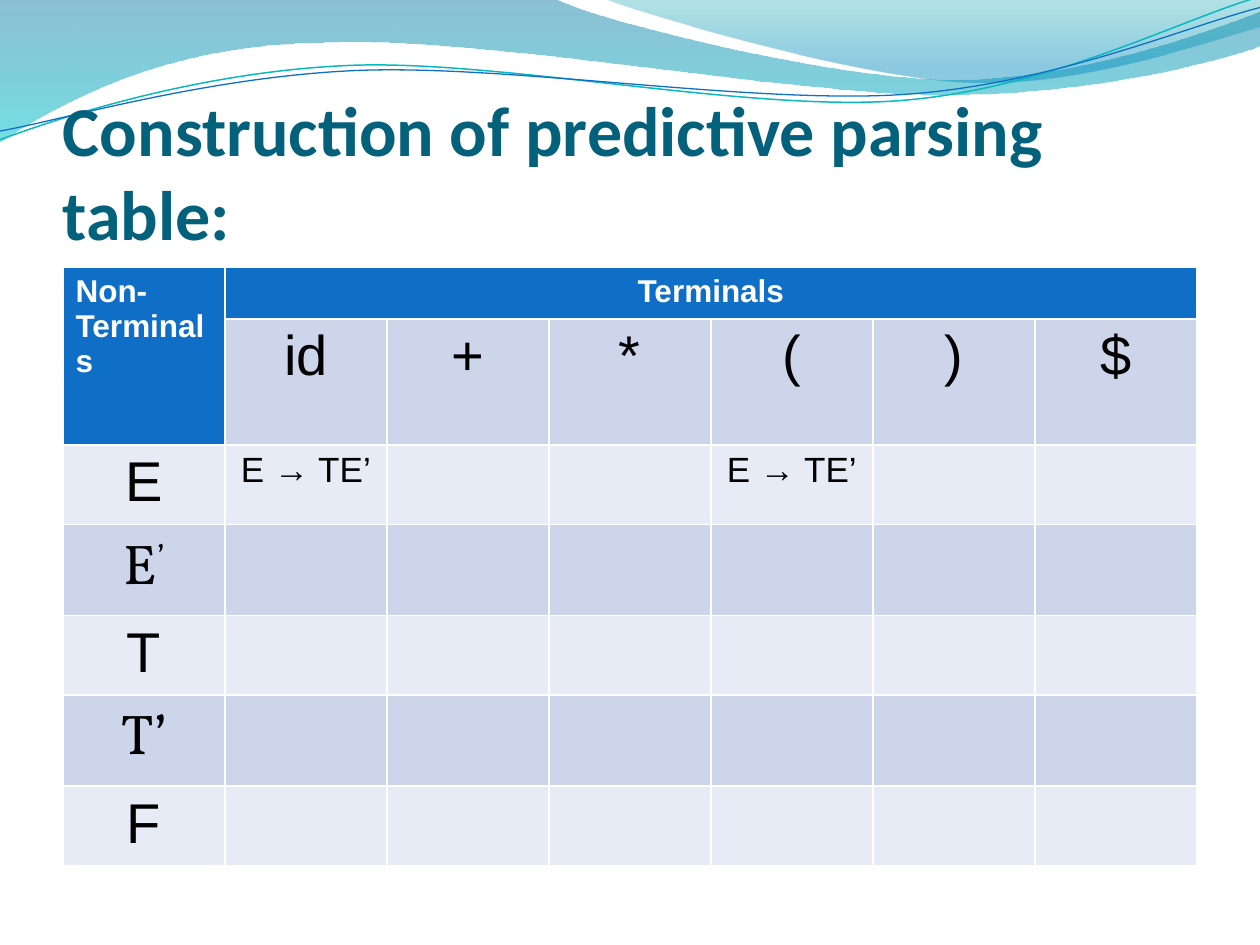
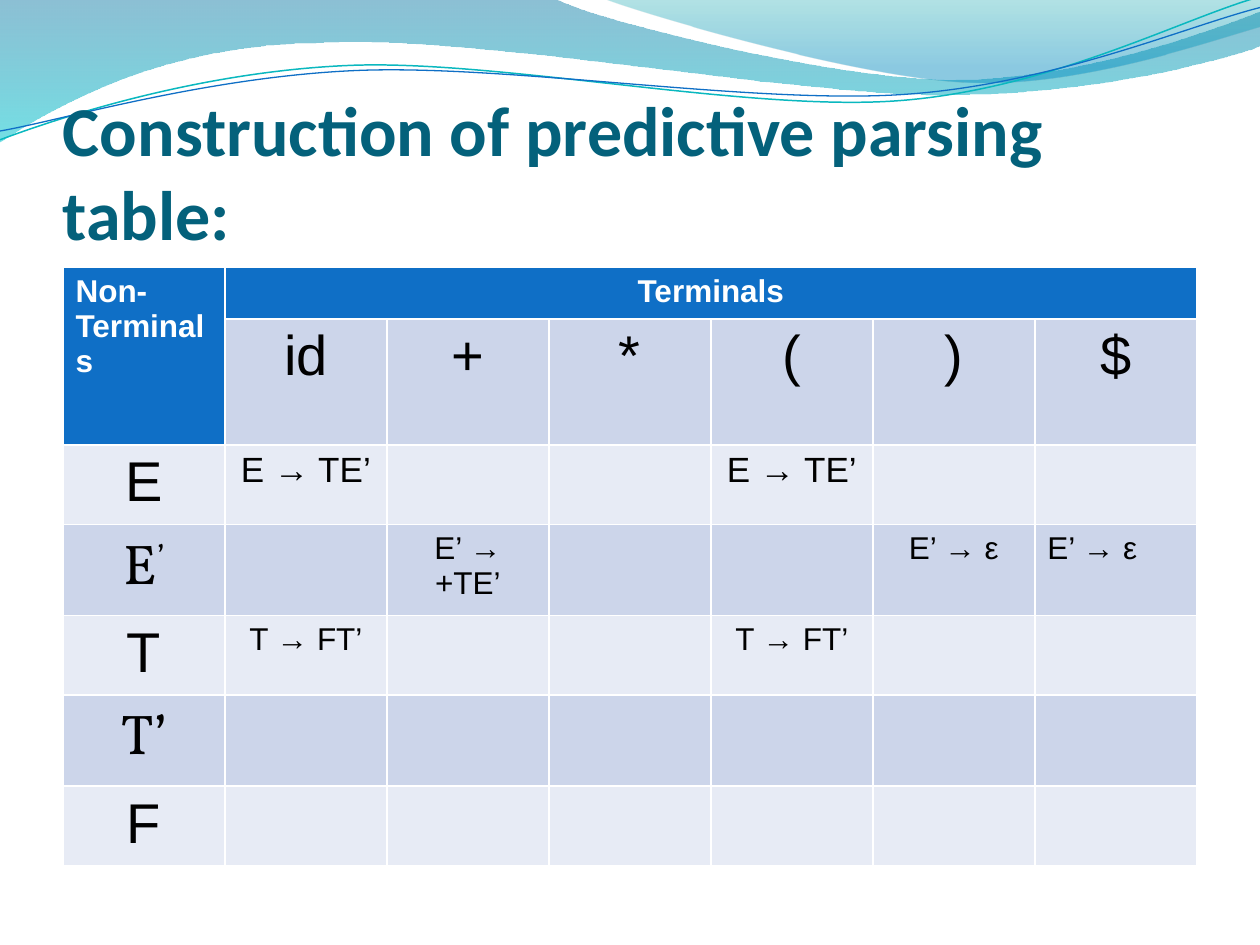
from lxml.etree import SubElement
from pptx import Presentation
from pptx.dml.color import RGBColor
from pptx.enum.text import MSO_ANCHOR, PP_ALIGN
from pptx.oxml.ns import qn
from pptx.util import Inches, Pt

# Shared look
WIDTH, HEIGHT = Inches(10), Inches(7.5)
MARGIN = WIDTH // 20
CONTENT_WIDTH = WIDTH - 2 * MARGIN
WHITE, BLACK, TITLE_COLOUR = "FFFFFF", "000000", "04617B"
HEADER_FILL, BAND_DARK, BAND_LIGHT = "0F6FC6", "CCD5EA", "E7EBF5"
BODY_FONT, TITLE_FONT, PRIME_FONT = "Arial", "Calibri", "Vollkorn"

# Banner curves in inches: a start, then points (lines) or triples of points (Bézier curves)
LEFT_WAVE = [
    (0, -0.01), (4.4, -0.01),
    ((4.76, 0.17), (6.64, 0.63), (7.58, 0.63)),
    ((8.53, 0.63), (9.58, 0.26), (10, 0.09)),
    (10.01, 0.36),
    ((9.83, 0.44), (8.7, 0.76), (7.46, 0.75)),
    ((6.22, 0.75), (3.82, 0.28), (2.57, 0.34)),
    ((1.29, 0.35), (0.46, 0.83), (-0.01, 1.13)),
    (0, -0.01),
]
RIGHT_WAVE = [
    (4.79, -0.01),
    ((5.09, 0.11), (6.82, 0.62), (7.69, 0.65)),
    ((8.56, 0.69), (9.61, 0.32), (10, 0.21)),
    (10, 0), (4.79, -0.01),
]
TEAL_LINE = [
    (0, 1.11),
    ((0.48, 0.93), (1.58, 0.57), (2.77, 0.52)),
    ((3.95, 0.47), (5.93, 0.89), (7.13, 0.8)),
    ((8.33, 0.71), (9.38, 0.15), (9.98, -0.02)),
]
BLUE_LINE = [
    (0, 1.04),
    ((0.47, 0.96), (1.64, 0.61), (2.83, 0.56)),
    ((4.03, 0.51), (5.97, 0.83), (7.17, 0.75)),
    ((8.36, 0.67), (9.41, 0.21), (10, 0.06)),
]

# Parsing table: entries are (text, size, alignment) by non-terminal and terminal
TITLE = "Construction of predictive parsing table:"
TERMINALS = ["id", "+", "*", "(", ")", "$"]
NON_TERMINALS = ["E", "E’", "T", "T’", "F"]
ROW_HEIGHT, PRIME_ROW_HEIGHT = Inches(0.41), Inches(0.72)
CENTER, LEFT = PP_ALIGN.CENTER, PP_ALIGN.LEFT
FIRST_ENTRIES = {("E", terminal): ("E → TE’", 20, CENTER) for terminal in ("id", "(")}
MORE_ENTRIES = FIRST_ENTRIES | {
    ("E’", "+"): ("E’ → +TE’", 18, CENTER),
    ("E’", ")"): ("E’ → ε", 18, CENTER),
    ("E’", "$"): ("E’ → ε", 18, LEFT),
    ("T", "id"): ("T → FT’", 18, CENTER),
    ("T", "("): ("T → FT’", 18, CENTER),
}


def rgb(colour):
    return RGBColor.from_string(colour)


def style_font(font, size, colour, name=BODY_FONT, bold=False):
    font.size, font.name, font.bold = Pt(size), name, bold
    font.color.rgb = rgb(colour)


# Banner
def is_curve(part):
    return isinstance(part[0], tuple)


def to_emu(point):
    return tuple(int(Inches(value)) for value in point)


def add_outline(page, outline, closed):
    """Build the outline from its corners, then bend the segments that are curves."""
    start, *corners = [to_emu(part[-1] if is_curve(part) else part) for part in outline]
    builder = page.shapes.build_freeform(*start, scale=1.0)
    builder.add_line_segments(corners, close=closed)
    shape = builder.convert_to_shape()
    shape.shadow.inherit = False
    segments = list(shape._element.iter(qn("a:lnTo")))
    for segment, part in zip(segments, outline[1:]):
        if is_curve(part):
            curve = segment.makeelement(qn("a:cubicBezTo"))
            for x, y in map(to_emu, part):
                SubElement(curve, qn("a:pt"), x=str(x - shape.left), y=str(y - shape.top))
            segment.getparent().replace(segment, curve)
    return shape


def add_wave(page, outline, stops):
    """Stops are (position, colour, opacity percent), from top to bottom."""
    wave = add_outline(page, outline, True)
    wave.line.fill.background()
    wave.fill.gradient()
    wave.fill.gradient_angle = 270
    for stop, (position, colour, opacity) in zip(wave.fill.gradient_stops, stops):
        stop.position = position
        stop.color.rgb = rgb(colour)
    colours = wave._element.spPr.iter(qn("a:srgbClr"))
    for element, (position, colour, opacity) in zip(colours, stops):
        SubElement(element, qn("a:alpha"), val=str(opacity * 1000))


def add_curve(page, outline, colour, weight):
    curve = add_outline(page, outline, False)
    curve.fill.background()
    curve.line.color.rgb = rgb(colour)
    curve.line.width = Pt(weight)


def add_banner(page):
    add_wave(page, LEFT_WAVE, [(0, "0074A1", 45), (1, "00C6CF", 55)])
    add_wave(page, RIGHT_WAVE, [(0, "00A1A9", 30), (0.8, "008BBF", 45)])
    add_curve(page, TEAL_LINE, "0AB8BF", 0.85)
    add_curve(page, BLUE_LINE, HEADER_FILL, 0.75)


def add_title(page, text):
    box = page.shapes.add_textbox(MARGIN, Inches(0.77), CONTENT_WIDTH, Inches(1.25))
    frame = box.text_frame
    frame.word_wrap = True
    frame.vertical_anchor = MSO_ANCHOR.BOTTOM
    frame.margin_left = frame.margin_right = frame.margin_bottom = 0
    frame.text = text
    style_font(frame.paragraphs[0].runs[0].font, 40, TITLE_COLOUR, TITLE_FONT, True)


# Table
def fill_cells(table):
    for row, cells in enumerate(table.rows):
        for column, cell in enumerate(cells.cells):
            is_header = row == 0 or (row, column) == (1, 0)
            band = BAND_DARK if row % 2 else BAND_LIGHT
            cell.fill.solid()
            cell.fill.fore_color.rgb = rgb(HEADER_FILL if is_header else band)


def write_cell(cell, text, size=32, align=CENTER, colour=BLACK, name=BODY_FONT, bold=False):
    para = cell.text_frame.paragraphs[0]
    para.text = text
    para.alignment = align
    style_font(para.runs[0].font, size, colour, name, bold)
    return para


def write_non_terminal(cell, symbol):
    name = PRIME_FONT if "’" in symbol else BODY_FONT
    if symbol != "E’":
        write_cell(cell, symbol, name=name)
        return
    para = write_cell(cell, symbol[0], name=name)
    prime = para.add_run()
    prime.text = symbol[1]
    style_font(prime.font, 32, BLACK, name)
    prime.font._element.set("baseline", "30000")


def add_parsing_table(page, entries):
    rows, columns = len(NON_TERMINALS) + 2, len(TERMINALS) + 1
    table = page.shapes.add_table(rows, columns, MARGIN, Inches(2.12),
                                  CONTENT_WIDTH, rows * ROW_HEIGHT).table
    fill_cells(table)

    # Headings
    table.cell(0, 0).merge(table.cell(1, 0))
    table.cell(0, 1).merge(table.cell(0, columns - 1))
    write_cell(table.cell(0, 0), "Non-Terminals", 18, LEFT, WHITE, bold=True)
    write_cell(table.cell(0, 1), "Terminals", 18, CENTER, WHITE, bold=True)
    for column, terminal in enumerate(TERMINALS, 1):
        write_cell(table.cell(1, column), terminal)
    for row, symbol in enumerate(NON_TERMINALS, 2):
        write_non_terminal(table.cell(row, 0), symbol)
        if "’" in symbol:
            table.rows[row].height = PRIME_ROW_HEIGHT

    # Productions
    for (symbol, terminal), entry in entries.items():
        row, column = NON_TERMINALS.index(symbol) + 2, TERMINALS.index(terminal) + 1
        write_cell(table.cell(row, column), *entry)


def main():
    deck = Presentation()
    deck.slide_width, deck.slide_height = WIDTH, HEIGHT
    for entries in (FIRST_ENTRIES, MORE_ENTRIES):
        page = deck.slides.add_slide(deck.slide_layouts[6])
        add_banner(page)
        add_title(page, TITLE)
        add_parsing_table(page, entries)
    deck.save("out.pptx")


if __name__ == "__main__":
    main()
